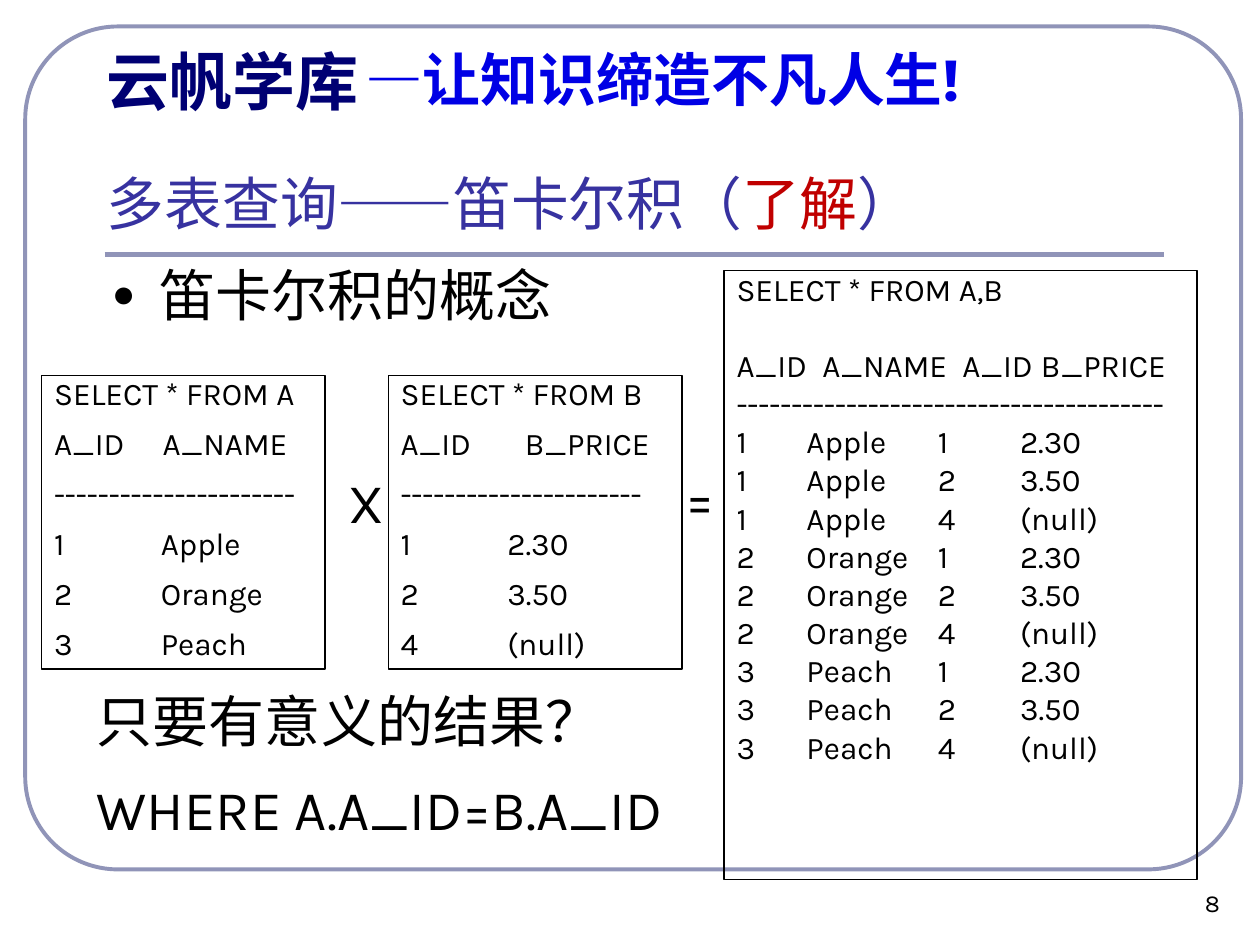
from dataclasses import dataclass

from lxml import etree
from pptx import Presentation
from pptx.dml.color import RGBColor
from pptx.enum.shapes import MSO_CONNECTOR, MSO_SHAPE
from pptx.enum.text import MSO_ANCHOR, PP_ALIGN
from pptx.oxml.ns import qn
from pptx.util import Pt

ROUNDED, RECT = MSO_SHAPE.ROUNDED_RECTANGLE, MSO_SHAPE.RECTANGLE
STRAIGHT = MSO_CONNECTOR.STRAIGHT
TOP, BOTTOM = MSO_ANCHOR.TOP, MSO_ANCHOR.BOTTOM
LEFT, RIGHT = PP_ALIGN.LEFT, PP_ALIGN.RIGHT


@dataclass(frozen=True)
class Theme:
    frame: str = "9094B8"
    slogan: str = "0000E5"
    brand: str = "000073"
    title: str = "3732A0"
    accent: str = "C00000"
    ink: str = "000000"
    font: str = "Karla"
    title_font: str = "Montserrat"
    body_font: str = "Arial"
    cjk_font: str = "Noto Sans CJK SC"
    brand_size: int = 36
    title_size: int = 33
    body_size: int = 32
    query_size: int = 18
    number_size: int = 14


THEME = Theme()


def style_run(run, size, color=THEME.ink, font=THEME.font, bold=False):
    run.font.size, run.font.name, run.font.bold = Pt(size), font, bold
    run.font.color.rgb = RGBColor.from_string(color)
    east_asian = etree.SubElement(run.font._element, qn("a:ea"))
    east_asian.set("typeface", THEME.cjk_font)


def set_tabs(paragraph, stops):
    tab_list = etree.SubElement(paragraph._p.get_or_add_pPr(), qn("a:tabLst"))
    for stop in stops:
        etree.SubElement(tab_list, qn("a:tab"), pos=str(Pt(stop)), algn="l")


def set_bullet(paragraph, indent):
    properties = paragraph._p.get_or_add_pPr()
    properties.set("marL", str(Pt(indent)))
    properties.set("indent", str(-Pt(indent)))
    etree.SubElement(properties, qn("a:buSzPct"), val="70000")
    etree.SubElement(properties, qn("a:buFont"), typeface=THEME.body_font)
    etree.SubElement(properties, qn("a:buChar"), char="●")


def add_text(slide, box, lines, size, spacing=None, before=0, anchor=TOP,
             align=LEFT, wrap=True, **look):
    frame = slide.shapes.add_textbox(*map(Pt, box)).text_frame
    frame.word_wrap, frame.vertical_anchor = wrap, anchor
    frame.text = "\n".join(lines)
    for paragraph in frame.paragraphs:
        paragraph.alignment, paragraph.space_before = align, Pt(before)
        paragraph.line_spacing = spacing
        for run in paragraph.runs:
            style_run(run, size, **look)
    return frame


def add_frame(slide, box):
    """Rounded border around the slide and the rule under its title."""
    left, top, width, height = box
    border = slide.shapes.add_shape(ROUNDED, *map(Pt, box))
    border.adjustments[0] = 0.11
    border.shadow.inherit = False
    border.fill.background()
    rule_y = top + 130.3
    rule = slide.shapes.add_connector(
        STRAIGHT, Pt(left + 45.4), Pt(rule_y), Pt(left + width - 44), Pt(rule_y))
    etree.SubElement(rule._element.spPr, qn("a:effectLst"))
    for outline, weight in ((border, 2.25), (rule, 3)):
        outline.line.color.rgb = RGBColor.from_string(THEME.frame)
        outline.line.width = Pt(weight)


def add_heading(slide, box):
    """Banner with name and slogan, and the slide title at the bottom."""
    left, top, width, height = box
    add_text(slide, (left + 147.6, top, 453.6, 43.2), ["—让知识缔造不凡人生!"],
             THEME.title_size, 0.9, 8.2, color=THEME.slogan,
             font=THEME.title_font, bold=True)
    add_text(slide, (left, top - 5, 193, 50.4), ["云帆学库"],
             THEME.brand_size, color=THEME.brand, font=THEME.cjk_font, bold=True)
    title = add_text(slide, box, [""], THEME.title_size, anchor=BOTTOM).paragraphs[0]
    for words, color, font in (
            ("多表查询", THEME.title, THEME.title_font),
            ("——", THEME.title, THEME.body_font),
            ("笛卡尔积（", THEME.title, THEME.title_font),
            ("了解", THEME.accent, THEME.title_font),
            ("）", THEME.title, THEME.title_font)):
        run = title.add_run()
        run.text = words
        style_run(run, THEME.title_size, color, font)


def add_query(slide, box, query, header, rows, dashes, before, gap,
              header_tabs, row_tabs):
    """Outlined query with its result set in tabbed columns."""
    panel = slide.shapes.add_shape(RECT, *map(Pt, box))
    panel.shadow.inherit = False
    panel.fill.background()
    panel.line.color.rgb = RGBColor.from_string(THEME.ink)
    panel.line.width = Pt(0.75)
    frame = panel.text_frame
    frame.word_wrap, frame.vertical_anchor = True, TOP
    frame.text = "\n".join([query, "\t".join(header), "-" * dashes]
                           + ["\t".join(row) for row in rows])
    for index, paragraph in enumerate(frame.paragraphs):
        paragraph.alignment, paragraph.line_spacing = LEFT, 0.8
        paragraph.space_before = Pt(before + gap if index == 1 else before)
        set_tabs(paragraph, header_tabs if index == 1 else row_tabs)
        for run in paragraph.runs:
            style_run(run, THEME.query_size)


def add_product(slide, box):
    """Table A times table B equals every pairing of their rows."""
    left, top, width, height = box
    fruits = [("1", "Apple"), ("2", "Orange"), ("3", "Peach")]
    prices = [("1", "2.30"), ("2", "3.50"), ("4", "(null)")]
    pairs = [fruit + price for fruit in fruits for price in prices]
    table_top, table_height = top + 59.8, 167.8
    add_query(slide, (left, table_top, 162, table_height), "SELECT * FROM A",
              ("A_ID", "A_NAME"), fruits, 22, 11.2, 0, [62], [61])
    add_query(slide, (left + 198, table_top, 168, table_height), "SELECT * FROM B",
              ("A_ID", "B_PRICE"), prices, 22, 11.2, 0, [71], [61])
    add_query(slide, (left + 390, top, width - 390, height), "SELECT * FROM A,B",
              ("A_ID", "A_NAME", "A_ID", "B_PRICE"), pairs, 39, 4.5, 21.8,
              [49, 129, 174], [40, 115, 162])
    for sign, x, y in (("X", 168.5, 116), ("=", 360.7, 113.8)):
        add_text(slide, (left + x, top + y, 33, 38), [sign], THEME.body_size,
                 0.8, 20, wrap=False)


def add_notes_on_result(slide, box):
    """Concept bullet above the tables, question and condition below."""
    left, top, width, height = box
    concept = add_text(slide, (left, top, 297.4, 50), ["笛卡尔积的概念"],
                       THEME.body_size, before=8, font=THEME.body_font)
    set_bullet(concept.paragraphs[0], 27)
    add_text(slide, (left - 8.6, top + height - 88.6, width, 88.6),
             ["只要有意义的结果？", "WHERE A.A_ID=B.A_ID"],
             THEME.body_size, 0.8, 20)


def add_slide_number(slide, box):
    add_text(slide, box, ["8"], THEME.number_size, anchor=BOTTOM, align=RIGHT)


presentation = Presentation()
presentation.slide_width, presentation.slide_height = Pt(720), Pt(540)
slide = presentation.slides.add_slide(presentation.slide_layouts[6])
add_frame(slide, (14.4, 15.1, 694.8, 481.7))
add_heading(slide, (54, 26, 606.2, 113))
add_slide_number(slide, (554.4, 491.8, 149.8, 36))
add_notes_on_result(slide, (56.9, 145.4, 354.2, 339.2))
add_product(slide, (23.8, 154.8, 660.2, 347.8))
presentation.save("out.pptx")
